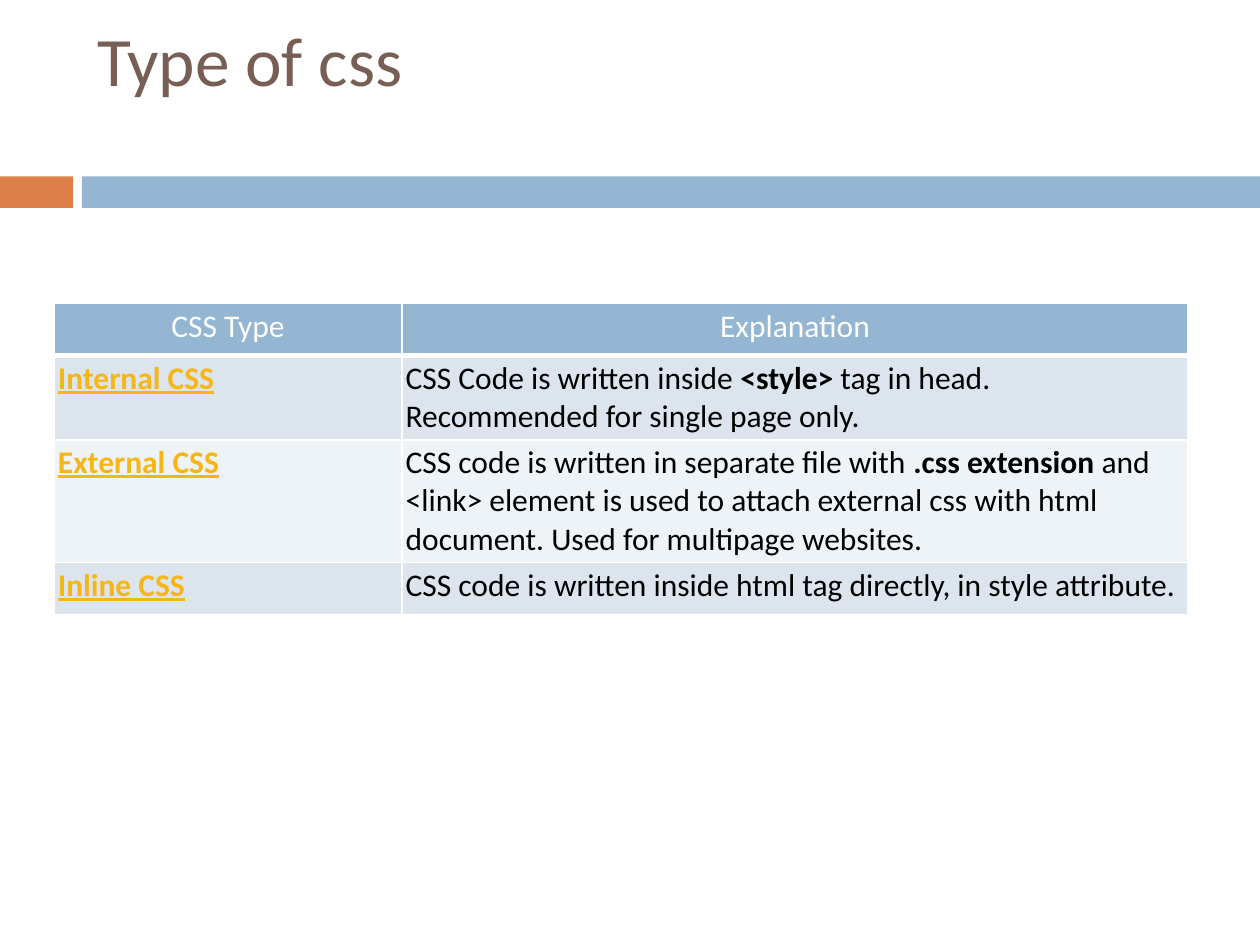
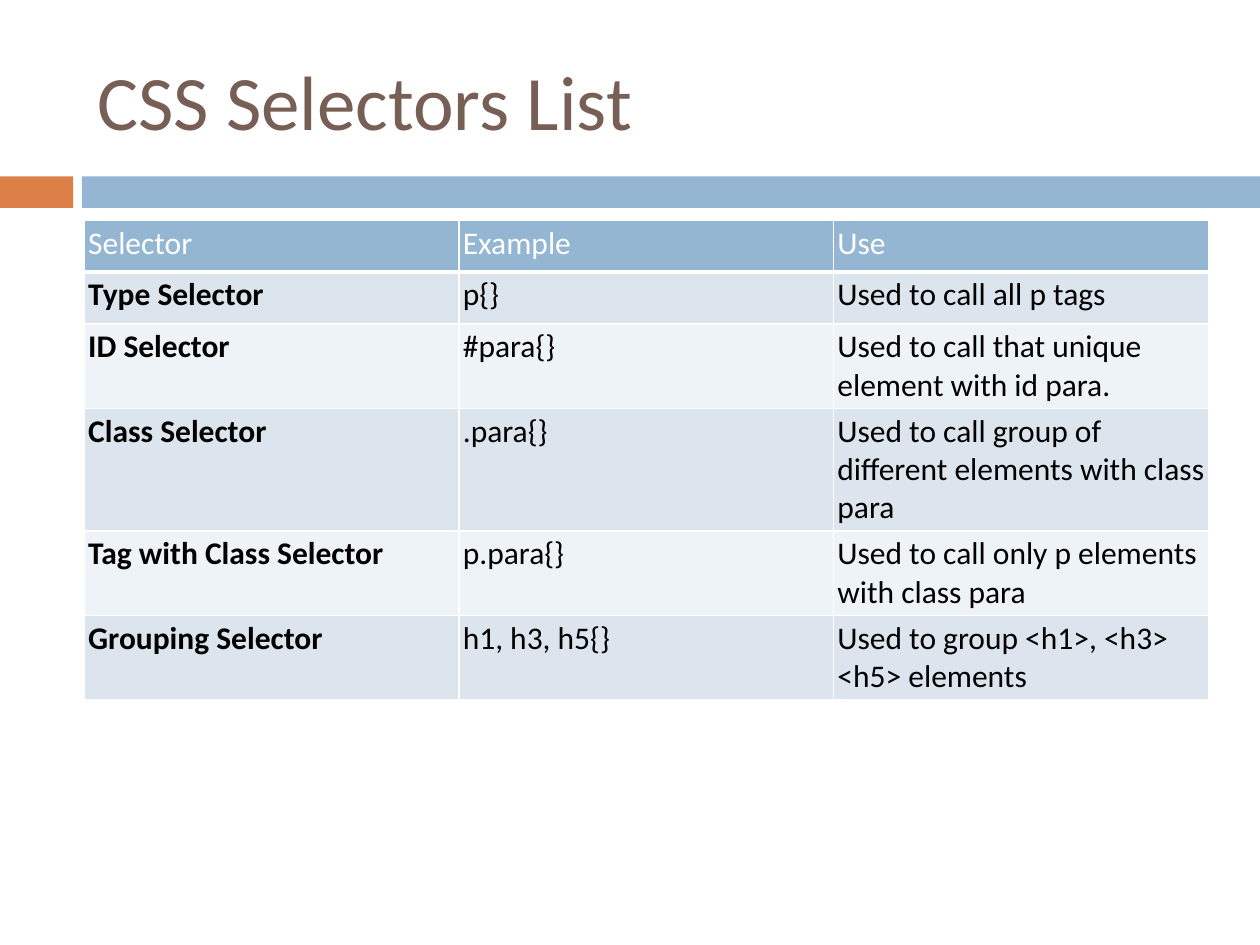
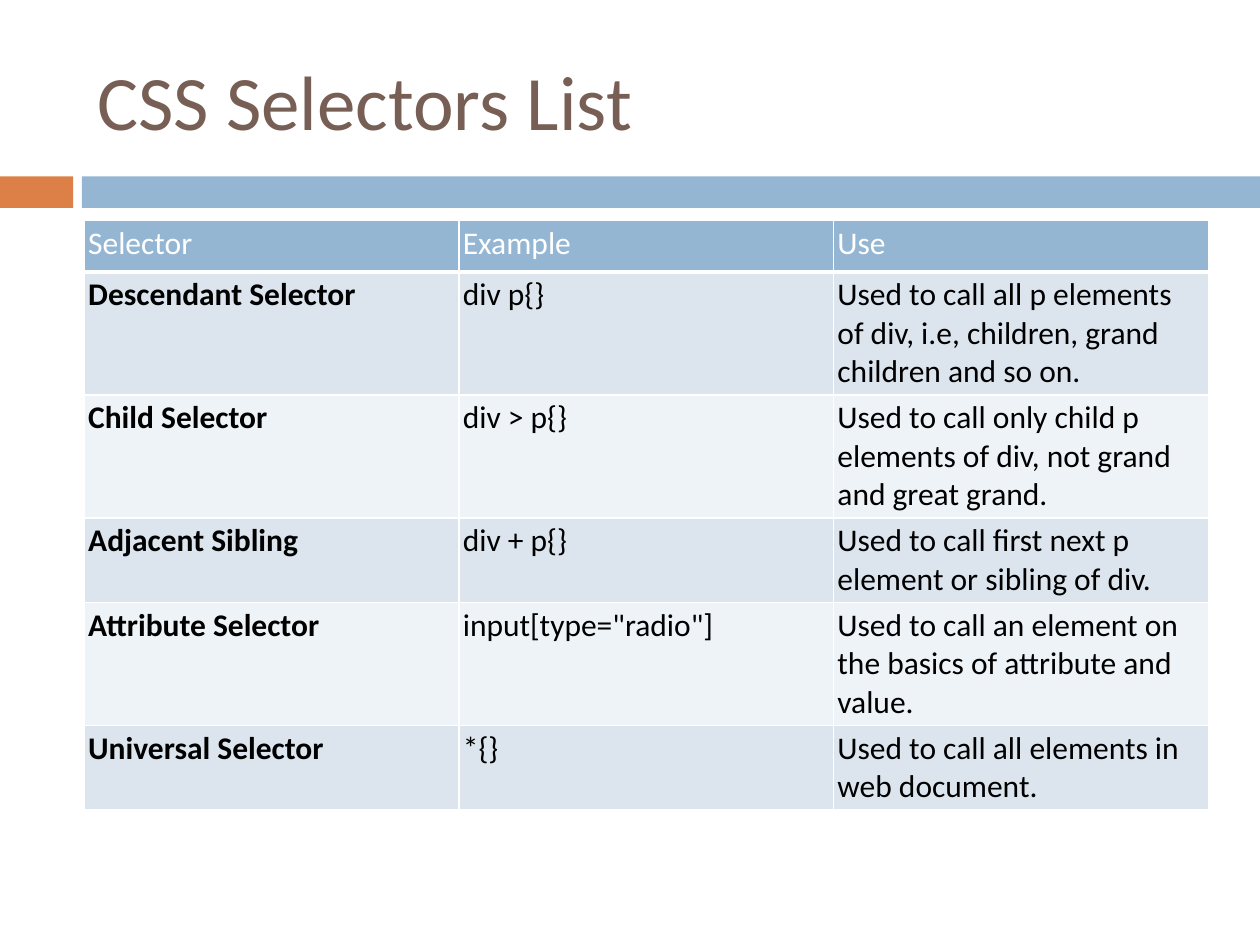
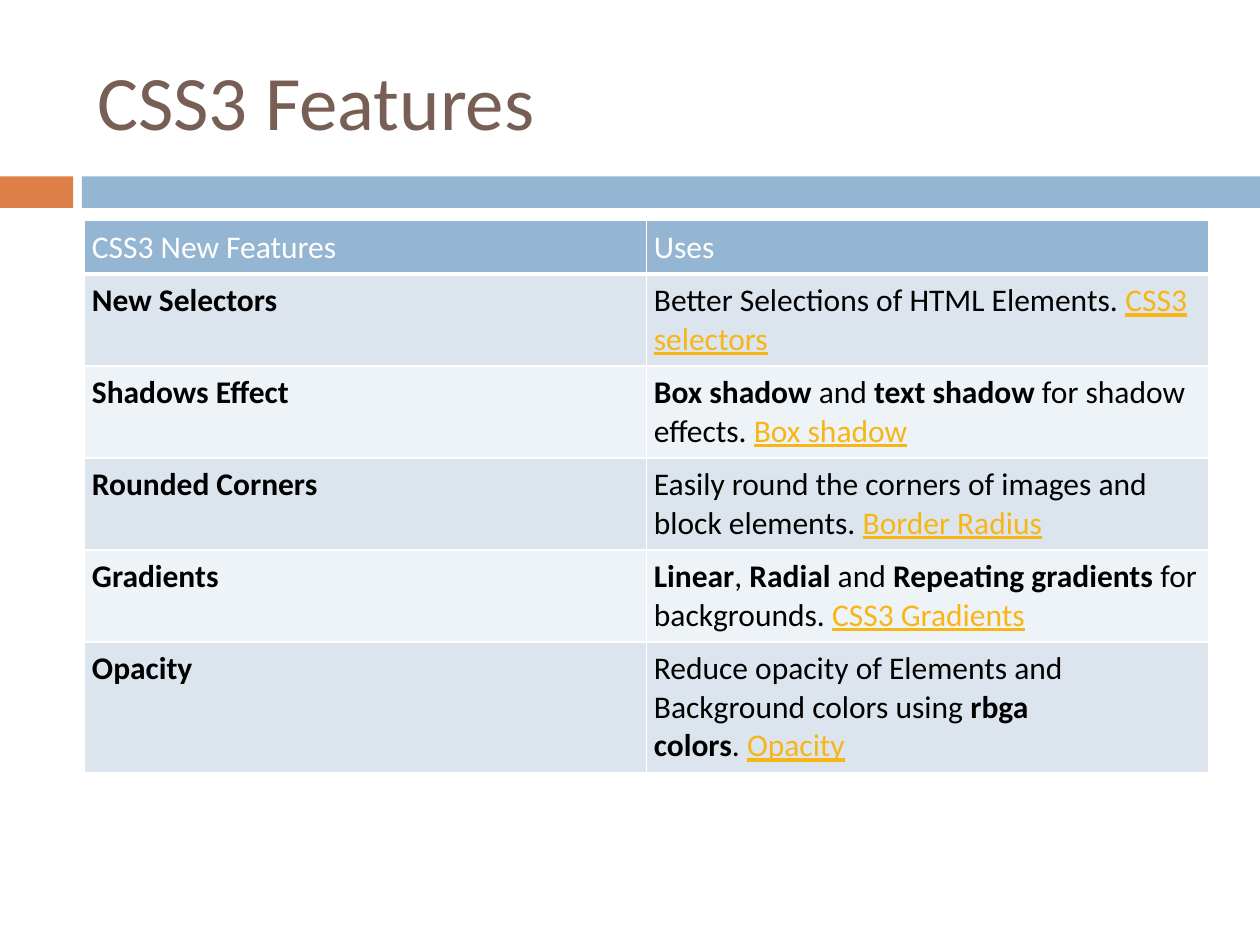
"""Build four slides on CSS types, selectors and CSS3 features."""
from lxml import etree
from pptx import Presentation
from pptx.dml.color import RGBColor
from pptx.enum.shapes import MSO_SHAPE
from pptx.enum.text import MSO_ANCHOR, MSO_AUTO_SIZE, PP_ALIGN
from pptx.oxml.ns import qn
from pptx.util import Inches, Pt

RECTANGLE = MSO_SHAPE.RECTANGLE
LEFT, CENTER = PP_ALIGN.LEFT, PP_ALIGN.CENTER
TOP, MIDDLE, BOTTOM = MSO_ANCHOR.TOP, MSO_ANCHOR.MIDDLE, MSO_ANCHOR.BOTTOM
NO_AUTOFIT = MSO_AUTO_SIZE.NONE

FONT = "Calibri"
WHITE, BLACK = "FFFFFF", "000000"
BROWN, ORANGE, BLUE, GOLD = "775F55", "DD8047", "94B6D2", "F7B615"
ROW_FILLS = ("DCE5EE", "EEF3F7")
TITLE_ONLY = 5


def rgb(value):
    return RGBColor.from_string(value)


def bold(text):
    return text, {"bold": True}


def link(text, **extra):
    return text, {"color": GOLD, "underline": True, **extra}


def write(frame, text, size=18, color=BLACK, is_bold=False, align=LEFT):
    """Write a string, or a list of strings and (string, style) runs."""
    paragraph = frame.paragraphs[0]
    paragraph.alignment = align
    for piece in [text] if isinstance(text, (str, tuple)) else text:
        words, style = (piece, {}) if isinstance(piece, str) else piece
        run = paragraph.add_run()
        run.text = words
        run.font.name = FONT
        run.font.size = Pt(size)
        run.font.bold = style.get("bold", is_bold)
        run.font.underline = style.get("underline", False)
        run.font.color.rgb = rgb(style.get("color", color))


class Deck:
    def __init__(self):
        self.presentation = Presentation()
        self.presentation.slide_width = Inches(10)
        self.presentation.slide_height = Inches(7.5)
        self.slide = None

    def add_slide(self, title, size=44, margin_bottom=0.05):
        layout = self.presentation.slide_layouts[TITLE_ONLY]
        self.slide = self.presentation.slides.add_slide(layout)
        self.band(0, 0.58, ORANGE)
        self.band(0.65, 9.35, BLUE)
        heading = self.slide.shapes.title
        heading.left, heading.top = Inches(0.67), Inches(0.25)
        heading.width, heading.height = Inches(8.92), Inches(1.08)
        frame = heading.text_frame
        frame.auto_size = NO_AUTOFIT
        frame.word_wrap = True
        frame.vertical_anchor = MIDDLE
        frame.margin_bottom = Inches(margin_bottom)
        write(frame, title, size=size, color=BROWN)

    def band(self, left, width, color):
        band = self.slide.shapes.add_shape(
            RECTANGLE, Inches(left), Inches(1.4), Inches(width), Inches(0.25))
        band.shadow.inherit = False
        band.fill.solid()
        band.fill.fore_color.rgb = rgb(color)
        band.line.fill.background()

    def table(self, header, rows, widths, left=0.67, top=1.75, inset=0.03,
              header_align=LEFT, header_anchor=TOP):
        row_height = 0.41
        table = self.slide.shapes.add_table(
            len(rows) + 1, len(widths), Inches(left), Inches(top),
            Inches(sum(widths)), Inches(row_height * (len(rows) + 1))).table
        for column, width in zip(table.columns, widths):
            column.width = Inches(width)
        for row in table.rows:
            row.height = Inches(row_height)
        for column, label in enumerate(header):
            self.cell(table.cell(0, column), label, BLUE, inset, header_anchor,
                      bottom_line=3, color=WHITE, align=header_align)
        for number, row in enumerate(rows):
            fill = ROW_FILLS[number % 2]
            for column, text in enumerate(row):
                self.cell(table.cell(number + 1, column), text, fill, inset,
                          is_bold=column == 0)

    def cell(self, cell, text, fill, inset, anchor=TOP, bottom_line=1, **text_format):
        cell.margin_left = cell.margin_right = Inches(inset)
        cell.margin_top = cell.margin_bottom = Inches(inset)
        cell.vertical_anchor = anchor
        cell.fill.solid()
        cell.fill.fore_color.rgb = rgb(fill)
        properties = cell._tc.get_or_add_tcPr()
        for place, side in enumerate("LRTB"):
            weight = bottom_line if side == "B" else 1
            line = etree.Element(qn(f"a:ln{side}"), w=str(Pt(weight)))
            paint = etree.SubElement(line, qn("a:solidFill"))
            etree.SubElement(paint, qn("a:srgbClr"), val=WHITE)
            properties.insert(place, line)
        write(cell.text_frame, text, **text_format)


deck = Deck()

deck.add_slide("Type of css", size=39.6, margin_bottom=0.69)
deck.table(
    ["CSS Type", "Explanation"],
    [
        [link("Internal CSS"),
         ["CSS Code is written inside\u00a0", bold("<style>"),
          "\u00a0tag in head. Recommended for single page only."]],
        [link("External CSS"),
         ["CSS code is written in separate file with\u00a0", bold(".css extension"),
          "\u00a0and <link> element is used to attach external css with html "
          "document. Used for multipage websites."]],
        [link("Inline CSS"),
         "CSS code is written inside html tag directly, in style attribute."],
    ],
    widths=[2.76, 6.24], left=0.43, top=2.41, header_align=CENTER)

SELECTOR_HEADER = ["Selector", "Example", "Use"]
SELECTOR_GROUPS = [
    [
        ["Type Selector", "p{}", "Used to call all p tags"],
        ["ID Selector", "#para{}", "Used to call that unique element with id para."],
        ["Class Selector", ".para{}",
         "Used to call group of different elements with class para"],
        ["Tag with Class Selector", "p.para{}",
         "Used to call only p elements with class para"],
        ["Grouping Selector", "h1, h3, h5{}", "Used to group <h1>, <h3> <h5> elements"],
    ],
    [
        ["Descendant Selector", "div p{}",
         "Used to call all p elements of div, i.e, children, grand children and so on."],
        ["Child Selector", "div > p{}",
         "Used to call only child p elements of div, not grand and great grand."],
        ["Adjacent Sibling", "div + p{}",
         "Used to call first next p element or sibling of div."],
        ["Attribute Selector", 'input[type="radio"]',
         "Used to call an element on the basics of attribute and value."],
        ["Universal Selector", "*{}", "Used to call all elements in web document."],
    ],
]
for selectors in SELECTOR_GROUPS:
    deck.add_slide("CSS Selectors List")
    deck.table(SELECTOR_HEADER, selectors, widths=[8.92 / 3] * 3)

deck.add_slide("CSS3 Features")
deck.table(
    ["CSS3 New Features", "Uses"],
    [
        ["New Selectors",
         ["Better Selections of HTML Elements.\u00a0", link("CSS3 selectors")]],
        ["Shadows Effect",
         [bold("Box shadow"), "\u00a0and\u00a0", bold("text shadow"),
          "\u00a0for shadow effects.\u00a0", link("Box shadow")]],
        ["Rounded Corners",
         ["Easily round the corners of images and block elements.\u00a0",
          link("Border Radius")]],
        ["Gradients",
         [bold("Linear"), ",\u00a0", bold("Radial"), "\u00a0and\u00a0",
          bold("Repeating gradients"), "\u00a0for backgrounds.\u00a0",
          link("CSS3 Gradients")]],
        ["Opacity",
         ["Reduce opacity of Elements and Background colors using\u00a0",
          bold("rbga colors"), ".\u00a0", link("Opacity")]],
    ],
    widths=[4.46, 4.46], inset=0.06, header_anchor=BOTTOM)

deck.presentation.save("out.pptx")
